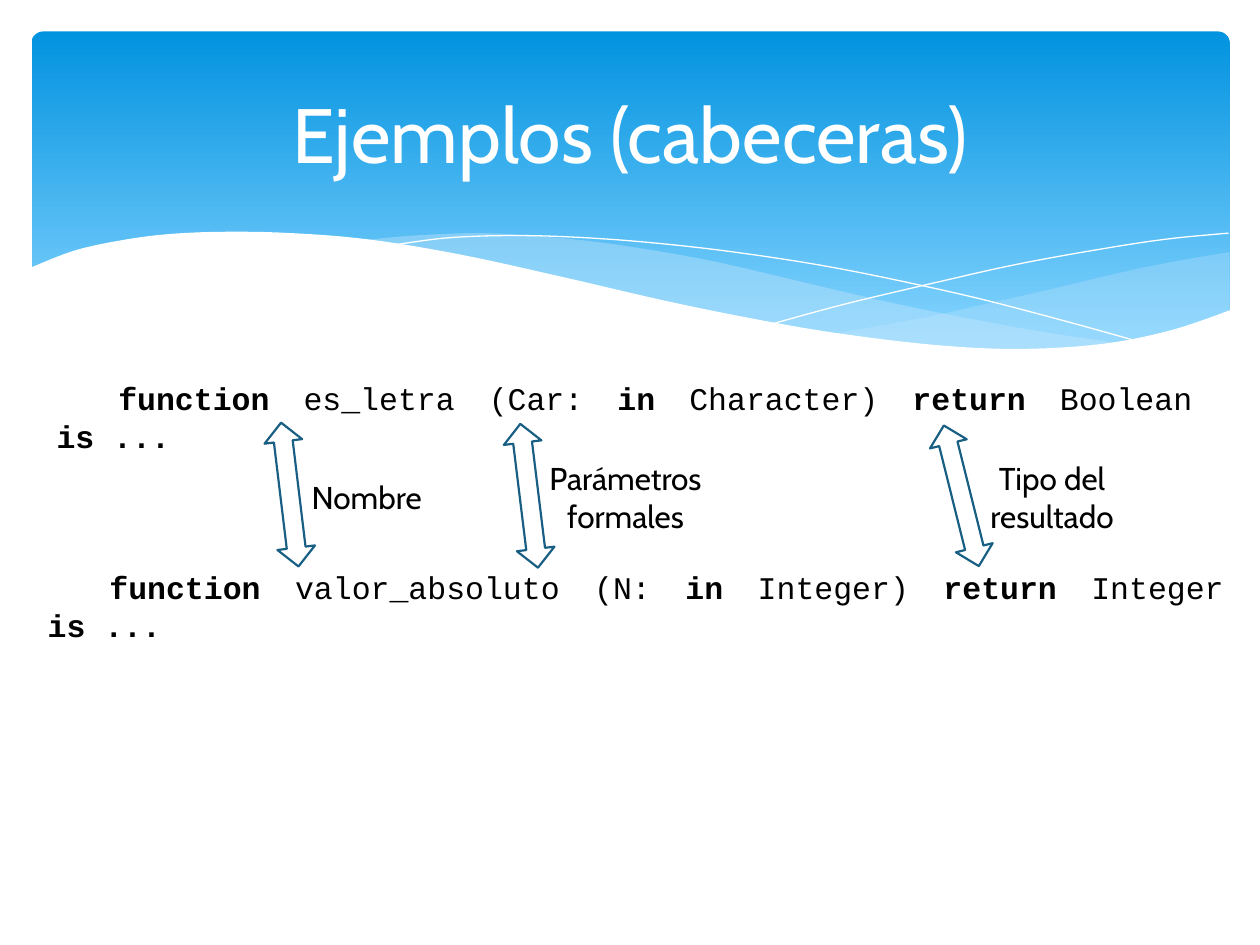
from lxml import etree
from pptx import Presentation
from pptx.dml.color import RGBColor
from pptx.enum.shapes import MSO_SHAPE
from pptx.enum.text import MSO_ANCHOR, PP_ALIGN
from pptx.oxml.ns import qn
from pptx.util import Inches, Pt

CENTER, JUSTIFY = PP_ALIGN.CENTER, PP_ALIGN.JUSTIFY
TOP, MIDDLE = MSO_ANCHOR.TOP, MSO_ANCHOR.MIDDLE
ROUND, ARROW = MSO_SHAPE.ROUNDED_RECTANGLE, MSO_SHAPE.UP_DOWN_ARROW

COLORS = {"sky": "0293E0", "pale": "83D3FE", "mist": "C6E7FC",
          "white": "FFFFFF", "black": "000000", "edge": "195F84"}
TITLE = "Ejemplos (cabeceras)"
HEADERS = [
    ((0.35, 2.96, 9.21, 0.55),
     ["\tfunction", " es_letra (Car: ", "in ", "Character) ", "return ", "Boolean ", "is ..."]),
    ((0.28, 4.46, 9.53, 0.55),
     ["\tfunction", " valor_absoluto (N: ", "in ", "Integer) ", "return ", "Integer ", "is ..."]),
]
ARROWS = [(2.15, 3.35, -6.9), (4.05, 3.36, -7), (7.48, 3.36, -14)]
LABELS = [("Nombre", 2.32, 1.18), ("Parámetros formales", 4.06, 1.81),
          ("Tipo del resultado", 7.6, 1.5)]

WAVES = [
    {"fill": "mist", "alpha": 29, "curves": [
        [(9.76, 2), (9.35, 2.07), (8.91, 2.16), (8.32, 2.3), (7.79, 2.42),
         (7.29, 2.53), (6.61, 2.65)],
        [(6.61, 2.65), (7.05, 2.71), (7.57, 2.76), (8.14, 2.78), (8.63, 2.75),
         (9.05, 2.69), (9.42, 2.59), (9.76, 2.47)]]},
    {"fill": "mist", "alpha": 40, "curves": [
        [(8.93, 2.73), (8.37, 2.65), (7.75, 2.54), (7.06, 2.4), (6.29, 2.22),
         (5.69, 2.08), (5.14, 1.98), (4.65, 1.91), (4.2, 1.87), (3.8, 1.85),
         (3.28, 1.87), (2.86, 1.91)],
        [(2.86, 1.91), (3.42, 1.99), (4.04, 2.11), (4.49, 2.22), (5.3, 2.4),
         (6.01, 2.55), (6.65, 2.66), (7.22, 2.74), (7.85, 2.78), (8.38, 2.78),
         (8.93, 2.73)]]},
    {"line": "white", "curves": [
        [(3.09, 1.95), (3.53, 1.89), (4.01, 1.87), (4.5, 1.88), (5.1, 1.92),
         (5.82, 2), (6.65, 2.13), (7.6, 2.33), (8.31, 2.51), (9.07, 2.72)]]},
    {"line": "white", "curves": [
        [(6.13, 2.57), (6.72, 2.41), (7.48, 2.23), (8.06, 2.1), (8.66, 1.99),
         (9.24, 1.9), (9.75, 1.85)]]},
    {"fill": "white", "curves": [
        [(9.77, 2.46), (9.3, 2.62), (8.75, 2.73), (8.09, 2.77), (7.44, 2.74),
         (6.68, 2.65), (6.03, 2.54), (5.29, 2.39), (4.47, 2.2), (3.65, 2.02),
         (2.92, 1.9), (2.3, 1.85), (1.77, 1.84), (1.32, 1.86), (0.95, 1.91),
         (0.59, 1.99), (0.23, 2.13)],
        [(0.23, 3.29), (9.77, 3.29)]]},
]


def tint(name):
    return RGBColor.from_string(COLORS[name])


def place(shape, box):
    shape.left, shape.top, shape.width, shape.height = map(Inches, box)


def write(shape, parts, font="Cabin", size=18, color="black", align=CENTER,
          anchor=MIDDLE, code=False):
    frame = shape.text_frame
    frame.word_wrap = True
    frame.vertical_anchor = anchor
    para = frame.paragraphs[0]
    para.alignment = align
    if code:
        para.line_spacing = Pt(21.7)
        tabs = etree.SubElement(para._p.get_or_add_pPr(), qn("a:tabLst"))
        etree.SubElement(tabs, qn("a:tab"), pos=str(Inches(0.49)), algn="l")
    for i, part in enumerate(parts):
        run = para.add_run()
        run.text = part
        run.font.name = font
        run.font.size = Pt(size)
        run.font.bold = code and i % 2 == 0
        run.font.color.rgb = tint(color)


def paint(shape, fill=None, line=None, width=0, alpha=None):
    shape.shadow.inherit = False
    if fill:
        shape.fill.solid()
        shape.fill.fore_color.rgb = tint(fill)
    else:
        shape.fill.background()
    if line:
        shape.line.color.rgb = tint(line)
        shape.line.width = Pt(width)
    else:
        shape.line.fill.background()
    if alpha:
        mix = shape.element.spPr.find(qn("a:solidFill"))[0]
        etree.SubElement(mix, qn("a:alpha"), val=str(alpha * 1000))


def smooth(knots, steps=6):
    if len(knots) < 3:
        return knots
    ends = [knots[0], *knots, knots[-1]]
    points = [knots[0]]
    for a, b, c, d in zip(ends, ends[1:], ends[2:], ends[3:]):
        for i in range(1, steps + 1):
            t = i / steps
            points.append(tuple(
                q + t * (r - p + t * (2 * p - 5 * q + 4 * r - s
                                      + t * (3 * q - p - 3 * r + s))) / 2
                for p, q, r, s in zip(a, b, c, d)))
    return points


def wave(shapes, curves, **look):
    points = [(Inches(x), Inches(y)) for knots in curves for x, y in smooth(knots)]
    pen = shapes.build_freeform(*points[0])
    pen.add_line_segments(points[1:], close="fill" in look)
    paint(pen.convert_to_shape(), **look)


def banner(shapes):
    panel = shapes.add_shape(ROUND, *map(Inches, (0.25, 0.25, 9.51, 2.7)))
    panel.adjustments[0] = 0.034
    paint(panel)
    panel.fill.gradient()
    panel.fill.gradient_angle = 270
    for stop, name, at in zip(panel.fill.gradient_stops, ("sky", "pale"), (0, 0.9)):
        stop.color.rgb = tint(name)
        stop.position = at
    for item in WAVES:
        wave(shapes, **item)


def main():
    deck = Presentation()
    deck.slide_width, deck.slide_height = Inches(10), Inches(7.5)
    slide = deck.slides.add_slide(deck.slide_layouts[5])
    shapes = slide.shapes
    banner(shapes)

    title = shapes.title
    title.element.getparent().append(title.element)
    place(title, (0.5, 0.37, 9, 1.37))
    write(title, [TITLE], size=44, color="white")

    for box, parts in HEADERS:
        text = shapes.add_textbox(*map(Inches, box))
        write(text, parts, font="Courier New", align=JUSTIFY, anchor=TOP, code=True)
    for x, y, turn in ARROWS:
        arrow = shapes.add_shape(ARROW, *map(Inches, (x, y, 0.3, 1.15)))
        arrow.rotation = turn
        paint(arrow, line="edge", width=1.25)
    for label, x, width in LABELS:
        write(shapes.add_textbox(*map(Inches, (x, 3.67, width, 0.55))), [label])
    deck.save("out.pptx")


if __name__ == "__main__":
    main()
